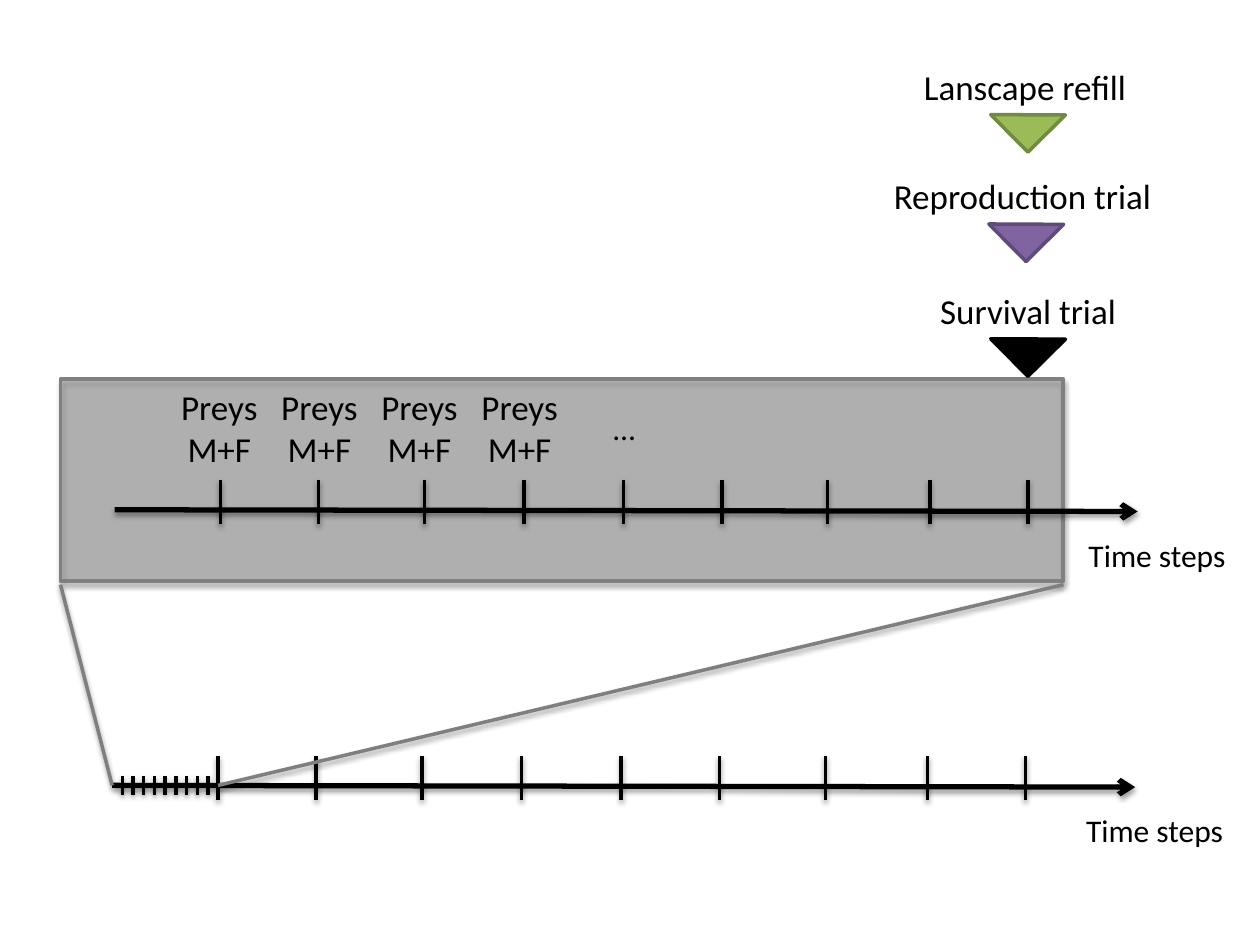
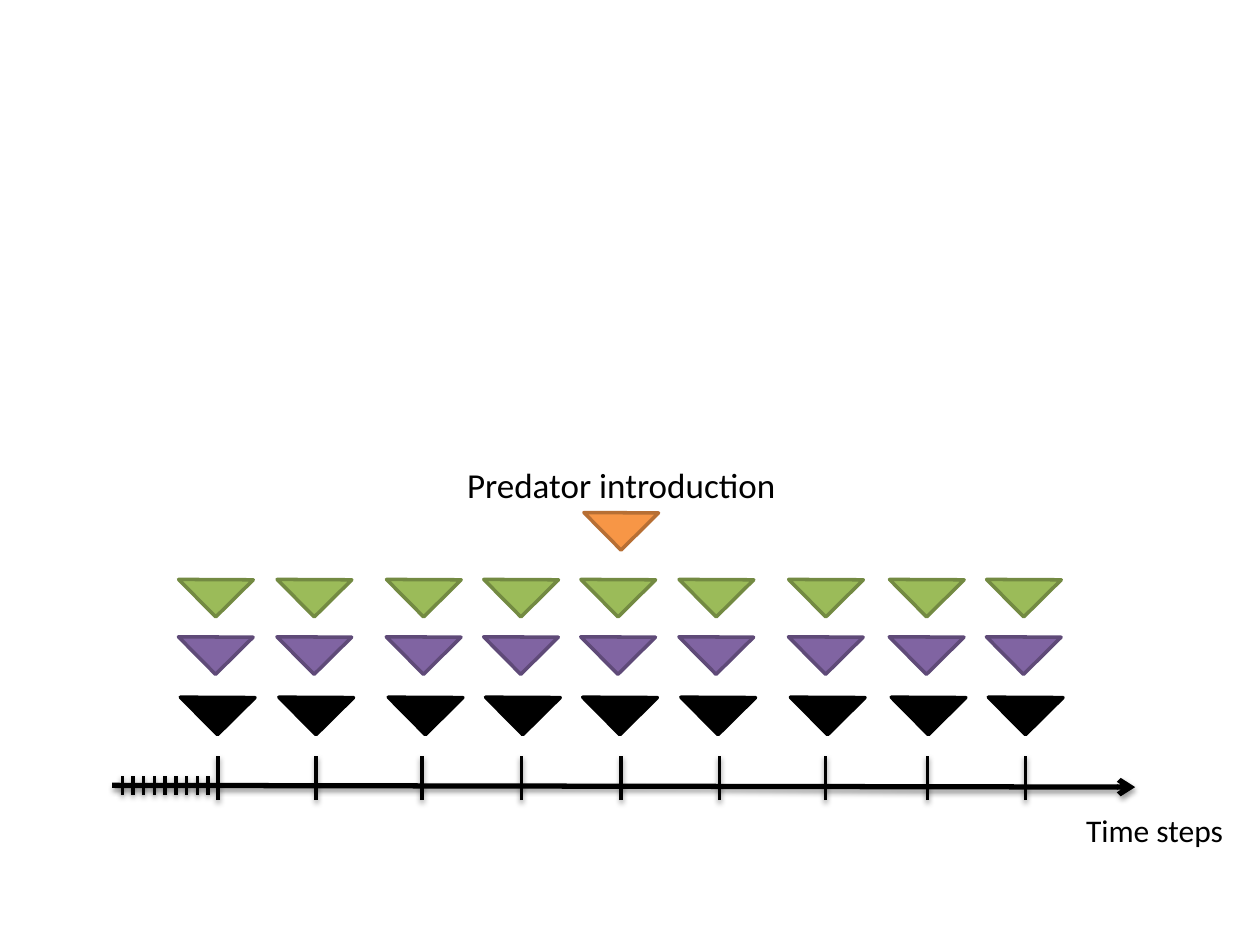
"""Build two slides that explain the time steps of a prey and predator simulation."""
import pptx
import pptx.dml.color
import pptx.enum.shapes
import pptx.enum.text
import pptx.oxml
import pptx.oxml.ns
import pptx.util

Pt = pptx.util.Pt
RGBColor = pptx.dml.color.RGBColor
SHAPES = pptx.enum.shapes.MSO_SHAPE
ALIGN = pptx.enum.text.PP_ALIGN
qn = pptx.oxml.ns.qn

BLACK = RGBColor(0x00, 0x00, 0x00)
GRAY = RGBColor(0x80, 0x80, 0x80)
ZOOM_GRAY = RGBColor(0x7F, 0x7F, 0x7F)
GREEN = RGBColor(0x9B, 0xBB, 0x59)
DARK_GREEN = RGBColor(0x73, 0x8A, 0x42)
PURPLE = RGBColor(0x80, 0x64, 0xA2)
DARK_PURPLE = RGBColor(0x5F, 0x4A, 0x78)
ORANGE = RGBColor(0xF7, 0x96, 0x46)
DARK_ORANGE = RGBColor(0xB7, 0x6F, 0x34)

SURVIVAL = (BLACK, BLACK)
REPRODUCTION = (PURPLE, DARK_PURPLE)
REFILL = (GREEN, DARK_GREEN)
PREDATOR = (ORANGE, DARK_ORANGE)

FONT = "Calibri"
MARKER_SIZE = 30.2
AXIS_LENGTH = 584.6
TICK_OFFSETS = (60.5, 116.6, 177.1, 234, 290.9, 347, 407.5, 465.8, 522)
MARKER_CENTERS = (124.4, 180.7, 243.2, 298.8, 354.3, 410.4, 473, 530.6, 586.1)
LOWER_AXIS = (64.1, 448.8)
UPPER_AXIS = (65.5, 291.3)


def add_shadow(shape, blur, distance, opacity):
    """Give a shape a soft black shadow straight below it."""
    properties = shape._element.spPr
    for effects in properties.findall(qn("a:effectLst")):
        properties.remove(effects)
    properties.append(pptx.oxml.parse_xml(
        f'<a:effectLst {pptx.oxml.ns.nsdecls("a")}>'
        f'<a:outerShdw blurRad="{Pt(blur)}" dist="{Pt(distance)}" dir="5400000" rotWithShape="0">'
        f'<a:srgbClr val="000000"><a:alpha val="{opacity * 1000}"/></a:srgbClr>'
        '</a:outerShdw></a:effectLst>'))


def add_line(page, start, end, color=BLACK, width=2, arrow=False):
    """Draw a straight line between two points, with an optional arrowhead."""
    line = page.shapes.add_connector(
        pptx.enum.shapes.MSO_CONNECTOR.STRAIGHT, *map(Pt, (*start, *end)))
    line.line.color.rgb = color
    line.line.width = Pt(width)
    if arrow:
        outline = line._element.spPr.find(qn("a:ln"))
        outline.append(pptx.oxml.parse_xml(
            f'<a:tailEnd {pptx.oxml.ns.nsdecls("a")} type="arrow"/>'))
    add_shadow(line, 3.1, 1.6, 38)


def add_shape(page, kind, area, fill, outline, width):
    """Add a preset shape with a plain fill and outline."""
    shape = page.shapes.add_shape(kind, *map(Pt, area))
    shape.shadow.inherit = False
    shape.fill.solid()
    shape.fill.fore_color.rgb = fill
    shape.line.color.rgb = outline
    shape.line.width = Pt(width)
    return shape


def add_text(page, lines, area, size=20, align=ALIGN.CENTER, wrap=True):
    """Add a text box with one paragraph for each line."""
    box = page.shapes.add_textbox(*map(Pt, area))
    frame = box.text_frame
    frame_format = {"word_wrap": wrap,
                    "auto_size": pptx.enum.text.MSO_AUTO_SIZE.SHAPE_TO_FIT_TEXT}
    for name, value in frame_format.items():
        setattr(frame, name, value)
    for index, line in enumerate(lines):
        para = frame.add_paragraph() if index else frame.paragraphs[0]
        para.alignment = align
        span = para.add_run()
        span.text = line
        for name, value in {"name": FONT, "size": Pt(size)}.items():
            setattr(span.font, name, value)
        span.font.color.rgb = BLACK


def add_marker(page, center, top, colors):
    """Add a triangle that points down at the center."""
    area = (center - MARKER_SIZE / 2, top, MARKER_SIZE, MARKER_SIZE)
    add_shape(page, SHAPES.RIGHT_TRIANGLE, area, *colors, 2).rotation = 315.3


def add_event(page, text, text_center, marker_center, top, colors):
    """Add a marker with its name above it."""
    add_marker(page, marker_center, top, colors)
    add_text(page, [text], (text_center - 124, top - 16.7, 248, 31.5))


def add_timeline(page, axis):
    """Draw a time axis with its ticks and its name."""
    left, top = axis
    add_line(page, axis, (left + AXIS_LENGTH, top + 1), width=3, arrow=True)
    for offset in TICK_OFFSETS:
        add_line(page, (left + offset, top + 8.4), (left + offset, top - 16.8))
    add_text(page, ["Time steps"], (left + 549.4, top + 11.2, 94.3, 29),
             size=18, align=ALIGN.LEFT, wrap=False)


def add_minor_ticks(page):
    """Divide the first interval of the lower axis into small steps."""
    left, top = LOWER_AXIS
    for step in range(9):
        tick = left + 5.8 + 6.12 * step
        add_line(page, (tick, top - 5.3), (tick, top + 5.5))


def add_zoom_panel(page):
    """Add the see-through panel that holds the enlarged interval."""
    panel = add_shape(page, SHAPES.RECTANGLE, (34.6, 216.7, 573.1, 115.2), GRAY, GRAY, 2.25)
    color = panel._element.spPr.find(qn("a:solidFill"))[0]
    color.append(pptx.oxml.parse_xml(
        f'<a:alpha {pptx.oxml.ns.nsdecls("a")} val="45000"/>'))
    add_shadow(panel, 3.1, 1.8, 35)


def build_interval_page(page):
    """Show what happens within one interval of the lower time axis."""
    add_zoom_panel(page)
    add_timeline(page, UPPER_AXIS)
    add_text(page, ["…"], (343.4, 230.4, 25.9, 29), size=18, align=ALIGN.LEFT)
    for step in range(4):
        add_text(page, ["Preys", "M+F"], (95.3 + 57.2 * step, 217, 60, 55.4), wrap=False)
    add_event(page, "Survival trial", 587.5, 587.5, 178.6, SURVIVAL)
    add_event(page, "Reproduction trial", 584.3, 586.4, 113, REPRODUCTION)
    add_event(page, "Lanscape refill", 585.7, 587.5, 50.5, REFILL)
    add_timeline(page, LOWER_AXIS)
    left, top = LOWER_AXIS
    add_line(page, (34.6, 334.1), LOWER_AXIS, ZOOM_GRAY)
    add_line(page, (607.7, 334.1), (left + TICK_OFFSETS[0], top), ZOOM_GRAY)
    add_minor_ticks(page)


def build_sequence_page(page):
    """Show the events that repeat at each step and the predator arrival."""
    add_timeline(page, LOWER_AXIS)
    add_minor_ticks(page)
    for center in MARKER_CENTERS:
        add_marker(page, center, 383.4, SURVIVAL)
        add_marker(page, center - 1.1, 348.9, REPRODUCTION)
        add_marker(page, center - 1, 316.1, REFILL)
    add_event(page, "Predator introduction", 355, 355, 277.9, PREDATOR)


def main():
    """Create the deck and save it."""
    deck = pptx.Presentation()
    for name, value in {"slide_width": Pt(720), "slide_height": Pt(540)}.items():
        setattr(deck, name, value)
    for build in (build_interval_page, build_sequence_page):
        build(deck.slides.add_slide(deck.slide_layouts[6]))
    deck.save("out.pptx")


if __name__ == "__main__":
    main()
